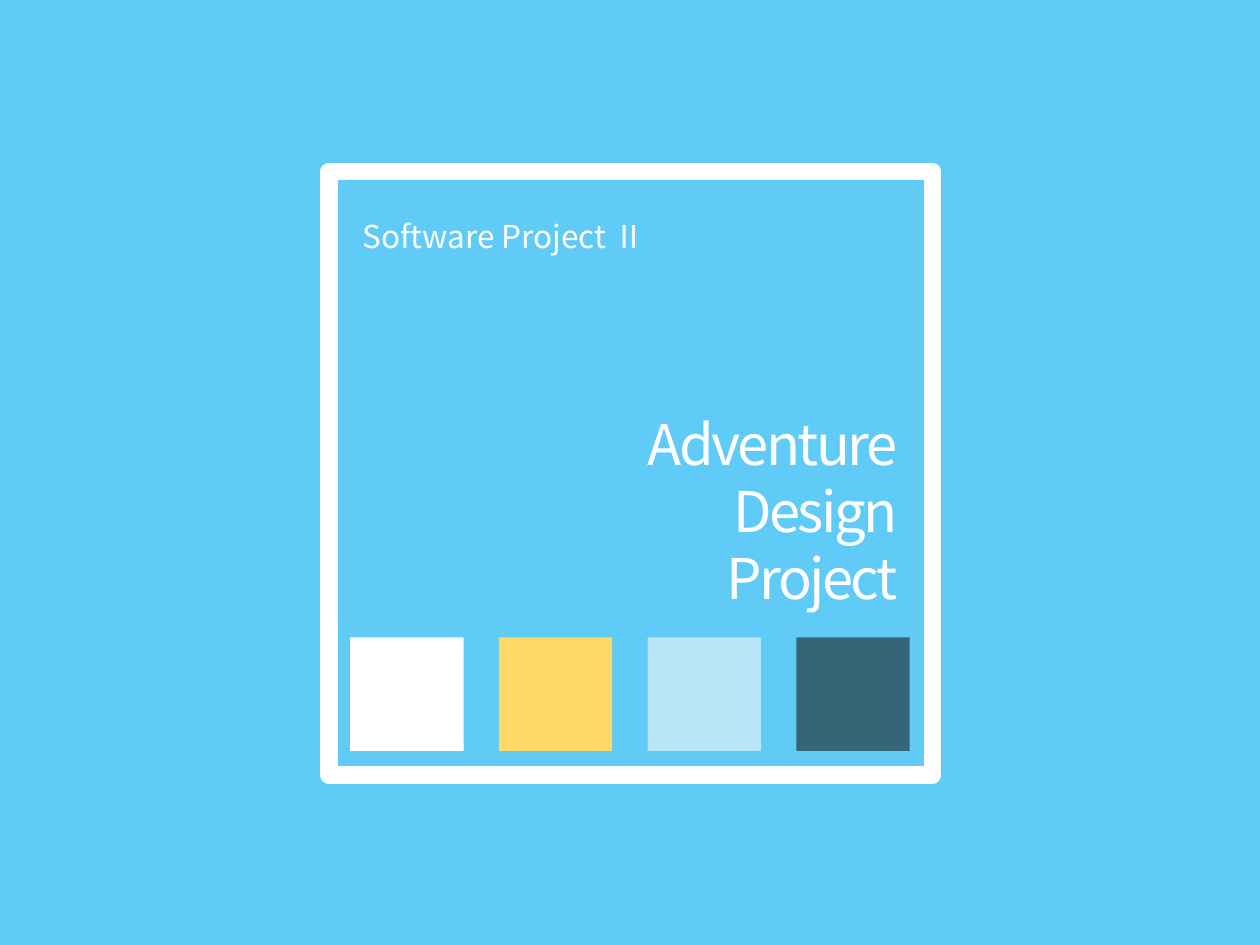
"""Build the cover slide: a framed title above a row of four colour squares."""
from dataclasses import dataclass

from lxml import etree
from pptx import Presentation
from pptx import util as u
from pptx.dml.color import RGBColor
from pptx.enum import shapes, text
from pptx.oxml import ns

SKY = RGBColor(0x60, 0xCB, 0xF6)
WHITE = RGBColor(0xFF, 0xFF, 0xFF)
GOLD = RGBColor(0xFF, 0xD9, 0x66)
PALE = RGBColor(0xB9, 0xE6, 0xF8)
TEAL = RGBColor(0x35, 0x65, 0x77)
FONT = "Noto Sans CJK KR"


@dataclass
class Box:
    left: float
    top: float
    width: float
    height: float

    def place(self) -> tuple:
        return tuple(map(u.Inches, (self.left, self.top, self.width, self.height)))


@dataclass
class Label:
    box: Box
    words: str
    size: int
    align: text.PP_ALIGN
    track: float = 0


LABELS = [
    Label(Box(2.77, 3.2, 4.45, 1.72), "Adventure\nDesign\nProject", 32,
          text.PP_ALIGN.RIGHT, -1.5),
    Label(Box(2.78, 1.67, 3.71, 0.4), "Software Project Ⅱ", 18, text.PP_ALIGN.LEFT),
]
FRAME = Box(2.61, 1.36, 4.79, 4.79)
TILES = [WHITE, GOLD, PALE, TEAL]
FIRST = Box(2.78, 5.06, 0.9, 0.9)
STEP = 1.18


def add_rect(parent, box: Box):
    rect = parent.add_shape(shapes.MSO_SHAPE.RECTANGLE, *box.place())
    rect.shadow.inherit = False
    return rect


def add_frame(parent, box: Box) -> None:
    frame = add_rect(parent, box)
    frame.fill.background()
    frame.line.color.rgb = WHITE
    frame.line.width = u.Pt(10)


def add_tile(parent, box: Box, color: RGBColor) -> None:
    tile = add_rect(parent, box)
    tile.fill.solid()
    tile.fill.fore_color.rgb = color
    tile.line.fill.background()


def add_label(parent, label: Label) -> None:
    frame = parent.add_textbox(*label.box.place()).text_frame
    frame.word_wrap = True
    frame.auto_size = text.MSO_AUTO_SIZE.SHAPE_TO_FIT_TEXT
    frame.text = label.words
    for para in frame.paragraphs:
        para.alignment = label.align
        for run in para.runs:
            run.font.size = u.Pt(label.size)
            run.font.name = FONT
            run.font.color.rgb = WHITE
            props = run._r.get_or_add_rPr()
            etree.SubElement(props, ns.qn("a:ea")).set("typeface", FONT)
            if label.track:
                props.set("spc", str(round(label.track * 100)))


def main() -> None:
    deck = Presentation()
    deck.slide_width, deck.slide_height = u.Inches(10), u.Inches(7.5)
    slide = deck.slides.add_slide(deck.slide_layouts[6])
    slide.background.fill.solid()
    slide.background.fill.fore_color.rgb = SKY

    add_frame(slide.shapes, FRAME)
    for label in LABELS:
        add_label(slide.shapes, label)
    row = slide.shapes.add_group_shape()
    for i, color in enumerate(TILES):
        box = Box(FIRST.left + i * STEP, FIRST.top, FIRST.width, FIRST.height)
        add_tile(row.shapes, box, color)
    deck.save("out.pptx")


if __name__ == "__main__":
    main()
